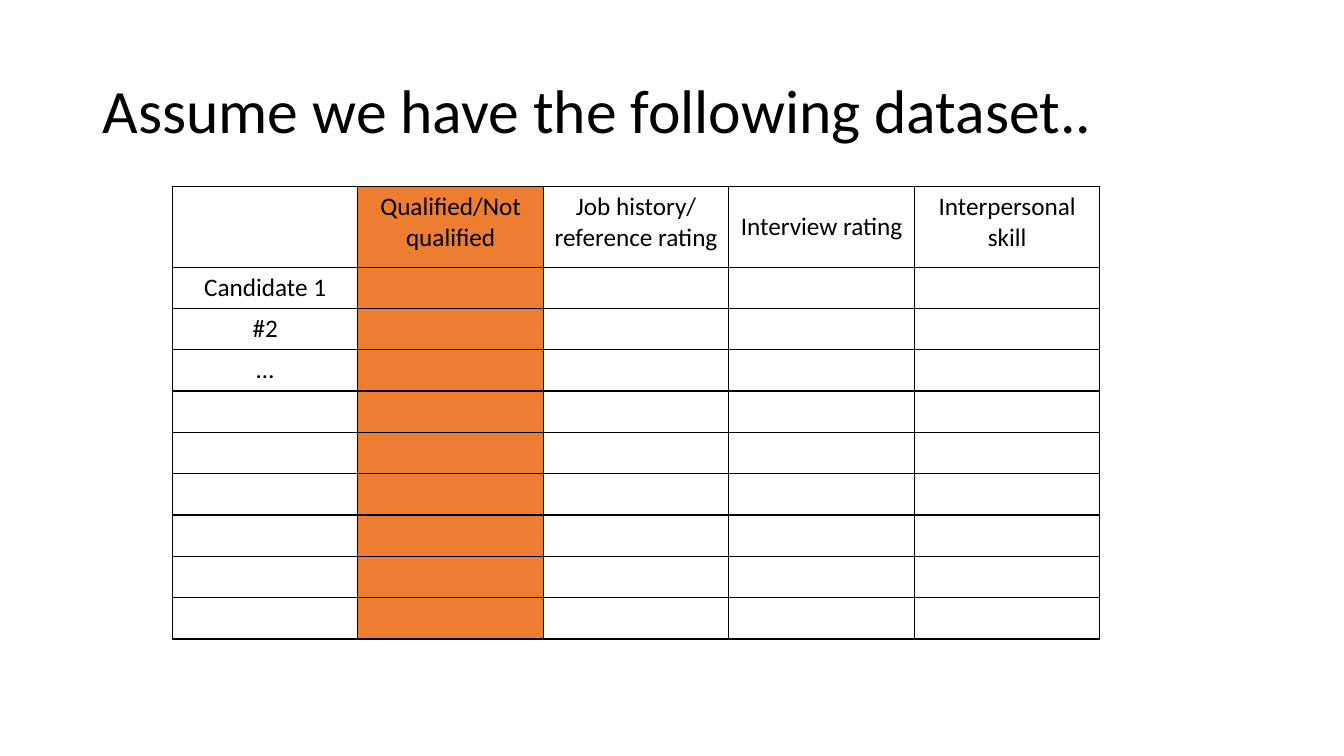
from dataclasses import dataclass

from lxml.etree import SubElement
from pptx import Presentation
from pptx.dml.color import RGBColor
from pptx.enum.text import MSO_ANCHOR, PP_ALIGN
from pptx.oxml.ns import qn
from pptx.util import Pt

PX = 9144  # EMU per px, 100 px to the inch


@dataclass(frozen=True)
class Theme:
    font: str = "Calibri"
    ink: str = "000000"
    highlight: str = "ED7D31"
    title_size: int = 44
    cell_size: int = 18
    border_width: int = 1


THEME = Theme()
TITLE = "Assume we have the following dataset.."
FEATURES = ["", "Qualified/Not qualified", "Job history/\nreference rating",
            "Interview rating", "Interpersonal skill"]
CANDIDATES = ["Candidate 1", "#2", "…"] + [""] * 6
LABEL_COLUMN = 1  # the outcome to predict
MIDDLE_HEADER = 3
HEADER_HEIGHT, ROW_HEIGHT = 80, 41


def emu(*lengths):
    return [length * PX for length in lengths]


def style_runs(paragraph, size):
    for run in paragraph.runs:
        run.font.name = THEME.font
        run.font.size = Pt(size)
        run.font.color.rgb = RGBColor.from_string(THEME.ink)


def add_title(slide, box):
    frame = slide.shapes.add_textbox(*emu(*box)).text_frame
    frame.word_wrap = True
    frame.vertical_anchor = MSO_ANCHOR.MIDDLE
    frame.text = TITLE
    heading = frame.paragraphs[0]
    heading.line_spacing = 0.9
    style_runs(heading, THEME.title_size)


def add_borders(cell):
    properties = cell._tc.get_or_add_tcPr()
    for side in ("a:lnL", "a:lnR", "a:lnT", "a:lnB"):
        line = SubElement(properties, qn(side), w=str(Pt(THEME.border_width)))
        fill = SubElement(line, qn("a:solidFill"))
        SubElement(fill, qn("a:srgbClr"), val=THEME.ink)


def fill_cell(cell, text, highlighted):
    add_borders(cell)
    if highlighted:
        cell.fill.solid()
        cell.fill.fore_color.rgb = RGBColor.from_string(THEME.highlight)
    else:
        cell.fill.background()
    cell.text_frame.text = text
    for paragraph in cell.text_frame.paragraphs:
        paragraph.alignment = PP_ALIGN.CENTER
        style_runs(paragraph, THEME.cell_size)


def add_dataset(slide, box):
    records = [FEATURES] + [[name] + [""] * (len(FEATURES) - 1) for name in CANDIDATES]
    dataset = slide.shapes.add_table(len(records), len(FEATURES), *emu(*box)).table
    dataset.first_row = False
    dataset.horz_banding = False

    # Equal columns, one taller header row
    for column in dataset.columns:
        column.width = box[2] * PX // len(FEATURES)
    for index, row in enumerate(dataset.rows):
        row.height = (ROW_HEIGHT if index else HEADER_HEIGHT) * PX

    # Cell contents
    for r, record in enumerate(records):
        for c, text in enumerate(record):
            fill_cell(dataset.cell(r, c), text, c == LABEL_COLUMN)
    dataset.cell(0, MIDDLE_HEADER).vertical_anchor = MSO_ANCHOR.MIDDLE


def build_dataset_slide(deck):
    slide = deck.slides.add_slide(deck.slide_layouts[6])
    add_title(slide, (92, 40, 1150, 145))
    table_height = HEADER_HEIGHT + ROW_HEIGHT * len(CANDIDATES)
    add_dataset(slide, (171, 185, 920, table_height))


def main():
    deck = Presentation()
    deck.slide_width, deck.slide_height = emu(1333, 750)
    build_dataset_slide(deck)
    deck.save("out.pptx")


if __name__ == "__main__":
    main()
